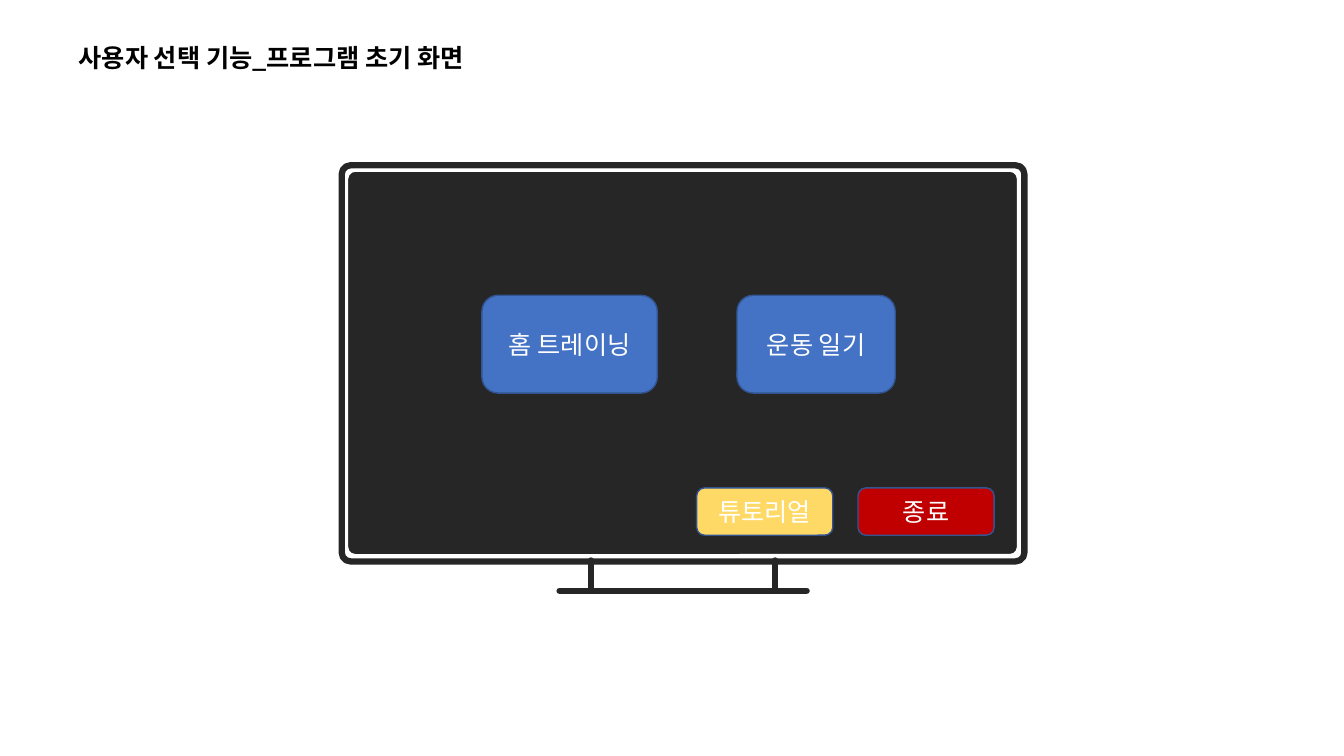
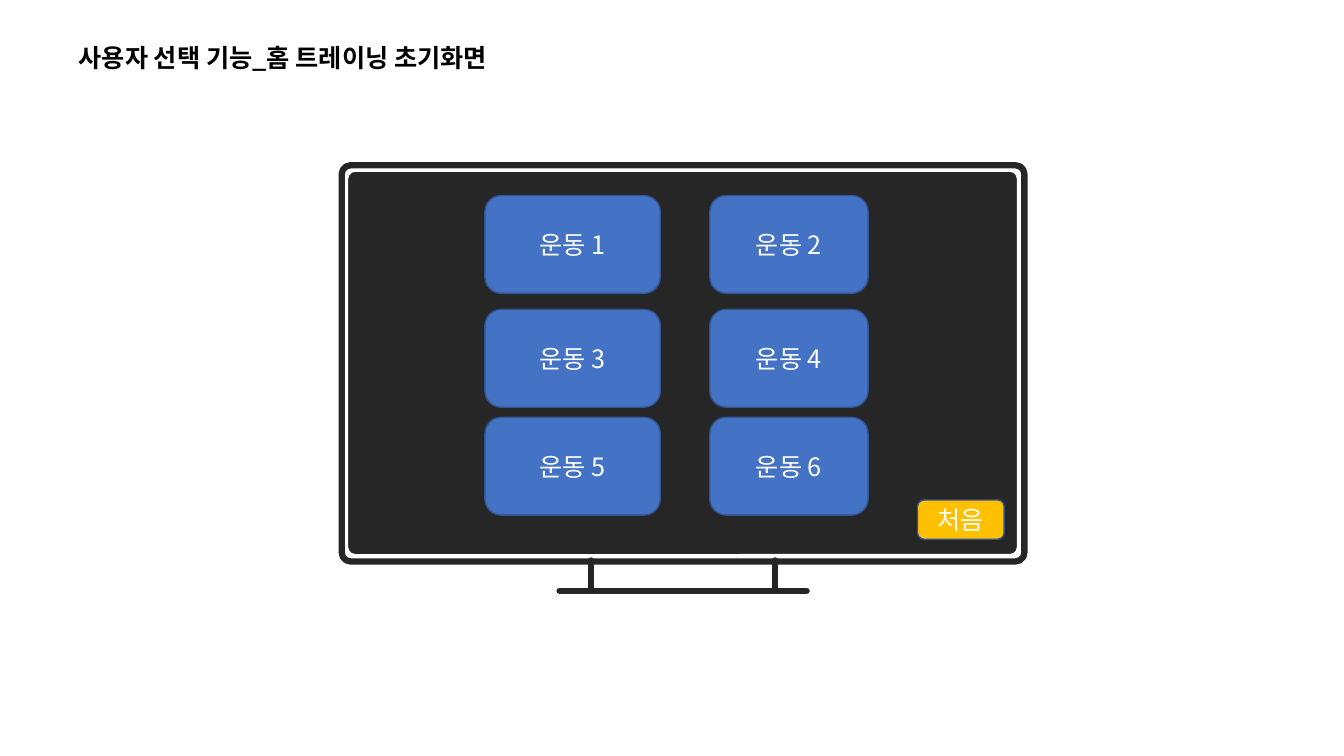
from lxml import etree
from pptx import Presentation
from pptx.dml.color import RGBColor
from pptx.enum import shapes, text
from pptx.oxml import ns
from pptx.util import Inches, Pt

BLACK = RGBColor(0x00, 0x00, 0x00)
WHITE = RGBColor(0xFF, 0xFF, 0xFF)
CHARCOAL = RGBColor(0x26, 0x26, 0x26)
BLUE = RGBColor(0x44, 0x72, 0xC4)
EDGE = RGBColor(0x32, 0x54, 0x91)
PALE_YELLOW = RGBColor(0xFF, 0xD9, 0x66)
AMBER = RGBColor(0xFF, 0xC0, 0x00)
RED = RGBColor(0xC0, 0x00, 0x00)
FONT = "Noto Sans CJK KR"

BUTTON_HEIGHT = 0.97
COLUMN_WIDTHS = (1.74, 1.57)
EXERCISE_LEFTS = (4.81, 7.04)
EXERCISE_TOPS = (1.94, 3.07, 4.14)

start_buttons = [
    ("홈 트레이닝", (4.78, 2.93, COLUMN_WIDTHS[0], BUTTON_HEIGHT), BLUE),
    ("운동 일기", (7.31, 2.93, COLUMN_WIDTHS[1], BUTTON_HEIGHT), BLUE),
    ("튜토리얼", (6.91, 4.84, 1.35, 0.47), PALE_YELLOW),
    ("종료", (8.51, 4.84, 1.35, 0.47), RED),
]
exercise_buttons = [
    (f"운동 {row * 2 + column + 1}",
     (EXERCISE_LEFTS[column], top, COLUMN_WIDTHS[column], BUTTON_HEIGHT), BLUE)
    for row, top in enumerate(EXERCISE_TOPS) for column in range(2)
]
exercise_buttons.append(("처음", (9.1, 4.96, 0.86, 0.39), AMBER))

screens = [
    ("사용자 선택 기능_프로그램 초기 화면", 4.45, start_buttons),
    ("사용자 선택 기능_홈 트레이닝 초기화면", 4.71, exercise_buttons),
]
monitor = [
    ((3.39, 1.64, 6.77, 3.93), None, CHARCOAL, 4.5),
    ((3.44, 1.69, 6.66, 3.82), CHARCOAL, WHITE, 2),
]
stand = [
    (5.86, 5.56, 5.86, 5.86),
    (7.69, 5.56, 7.69, 5.86),
    (5.55, 5.86, 8, 5.86),
]


def write(frame, words, color, bold, align, anchor):
    frame.vertical_anchor = anchor
    paragraph = frame.paragraphs[0]
    paragraph.alignment = align
    run = paragraph.add_run()
    run.text = words
    run.font.color.rgb = color
    for key, value in {"size": Pt(18), "bold": bold, "name": FONT}.items():
        setattr(run.font, key, value)
    etree.SubElement(run.font._element, ns.qn("a:ea"), typeface=FONT)


def add_panel(slide, box, fill, edge, width):
    panel = slide.shapes.add_shape(
        shapes.MSO_SHAPE.ROUNDED_RECTANGLE, *map(Inches, box))
    panel.shadow.inherit = False
    if fill is None:
        panel.fill.background()
    else:
        panel.fill.solid()
        panel.fill.fore_color.rgb = fill
    panel.line.color.rgb = edge
    panel.line.width = Pt(width)
    return panel


deck = Presentation()
deck.slide_width, deck.slide_height = Inches(13.33), Inches(7.5)

for heading, heading_width, buttons in screens:
    slide = deck.slides.add_slide(deck.slide_layouts[5])
    title = slide.shapes.title
    places = {"left": 0.68, "top": 0.37, "width": heading_width, "height": 0.4}
    for key, value in places.items():
        setattr(title, key, Inches(value))
    title.text_frame.word_wrap = False
    title.text_frame.auto_size = text.MSO_AUTO_SIZE.SHAPE_TO_FIT_TEXT
    write(title.text_frame, heading, BLACK, True,
          text.PP_ALIGN.LEFT, text.MSO_ANCHOR.TOP)

    for box, fill, edge, width in monitor:
        add_panel(slide, box, fill, edge, width).adjustments[0] = 0.022

    for ends in stand:
        leg = slide.shapes.add_connector(
            shapes.MSO_CONNECTOR.STRAIGHT, *map(Inches, ends))
        leg.line.color.rgb = CHARCOAL
        leg.line.width = Pt(4.5)
        properties = leg._element.spPr
        properties.find(ns.qn("a:ln")).set("cap", "rnd")
        etree.SubElement(properties, ns.qn("a:effectLst"))

    for label, box, fill in buttons:
        button = add_panel(slide, box, fill, EDGE, 1)
        write(button.text_frame, label, WHITE, False,
              text.PP_ALIGN.CENTER, text.MSO_ANCHOR.MIDDLE)

deck.save("out.pptx")
